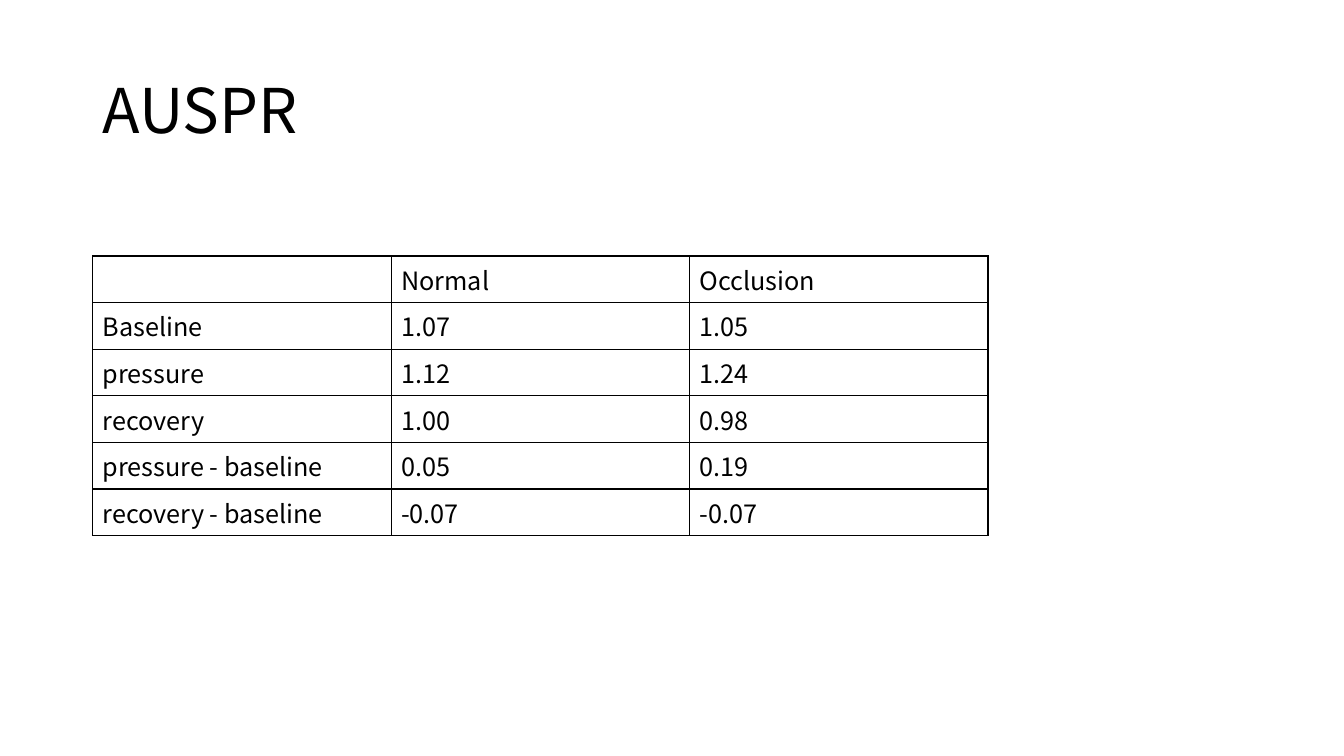
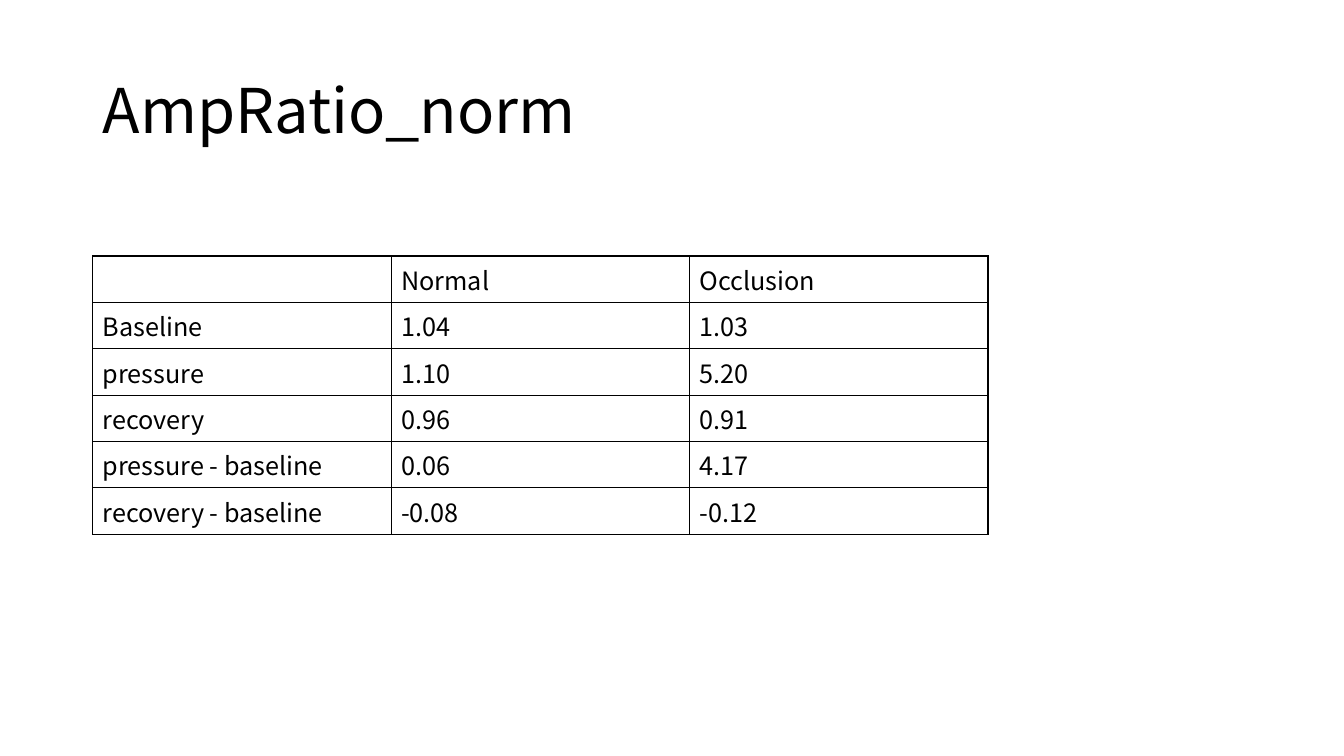
from dataclasses import dataclass

from lxml import etree
from pptx import Presentation
from pptx.dml.color import RGBColor
from pptx.enum.text import MSO_ANCHOR
from pptx.oxml.ns import qn
from pptx.slide import Slide
from pptx.table import _Cell
from pptx.text.text import _Paragraph
from pptx.util import Emu, Pt

MIDDLE = MSO_ANCHOR.MIDDLE
EMU_PER_PX = 9144
BLANK_LAYOUT = 6


@dataclass(frozen=True)
class Theme:
    font: str = "Noto Sans CJK KR"
    ink: str = "000000"
    title_pt: int = 44
    body_pt: int = 18
    border_pt: int = 1


@dataclass(frozen=True)
class Measure:
    title: str
    normal: tuple[str, ...]
    occlusion: tuple[str, ...]


THEME = Theme()
SLIDE_W, SLIDE_H = 1333, 750
LEFT = 92
TITLE_TOP, TITLE_W, TITLE_H = 40, 1150, 145
TABLE_TOP, COL_W, ROW_H = 254, 296, 46

HEADER = ("", "Normal", "Occlusion")
ROW_LABELS = ("Baseline", "pressure", "recovery",
              "pressure - baseline", "recovery - baseline")
MEASURES = (
    Measure("AUSPR",
            ("1.07", "1.12", "1.00", "0.05", "-0.07"),
            ("1.05", "1.24", "0.98", "0.19", "-0.07")),
    Measure("AmpRatio_norm",
            ("1.04", "1.10", "0.96", "0.06", "-0.08"),
            ("1.03", "5.20", "0.91", "4.17", "-0.12")),
)


def px(n: int) -> Emu:
    return Emu(n * EMU_PER_PX)


def style_paragraph(p: _Paragraph, size: int) -> None:
    p.font.name = THEME.font
    p.font.size = Pt(size)
    p.font.color.rgb = RGBColor.from_string(THEME.ink)


def add_title(s: Slide, text: str) -> None:
    box = s.shapes.add_textbox(px(LEFT), px(TITLE_TOP), px(TITLE_W), px(TITLE_H))
    tf = box.text_frame
    tf.word_wrap = True
    tf.vertical_anchor = MIDDLE
    p = tf.paragraphs[0]
    p.text = text
    p.line_spacing = 0.9
    style_paragraph(p, THEME.title_pt)


def add_borders(cell: _Cell) -> None:
    """Outline all four sides; call before setting the fill, which must follow."""
    tc_pr = cell._tc.get_or_add_tcPr()
    for side in ("lnL", "lnR", "lnT", "lnB"):
        ln = etree.SubElement(tc_pr, qn(f"a:{side}"), w=str(Pt(THEME.border_pt)))
        fill = etree.SubElement(ln, qn("a:solidFill"))
        etree.SubElement(fill, qn("a:srgbClr"), val=THEME.ink)


def add_measure_table(s: Slide, measure: Measure) -> None:
    rows = [HEADER, *zip(ROW_LABELS, measure.normal, measure.occlusion)]
    table = s.shapes.add_table(
        len(rows), len(HEADER), px(LEFT), px(TABLE_TOP),
        px(COL_W * len(HEADER)), px(ROW_H * len(rows))).table
    table.first_row = False
    table.horz_banding = False
    for r, row in enumerate(rows):
        for c, text in enumerate(row):
            cell = table.cell(r, c)
            add_borders(cell)
            cell.fill.background()
            p = cell.text_frame.paragraphs[0]
            if text:
                p.text = text
            style_paragraph(p, THEME.body_pt)


def main() -> None:
    prs = Presentation()
    prs.slide_width, prs.slide_height = px(SLIDE_W), px(SLIDE_H)
    for measure in MEASURES:
        s = prs.slides.add_slide(prs.slide_layouts[BLANK_LAYOUT])
        add_measure_table(s, measure)
        add_title(s, measure.title)
    prs.save("out.pptx")


if __name__ == "__main__":
    main()
